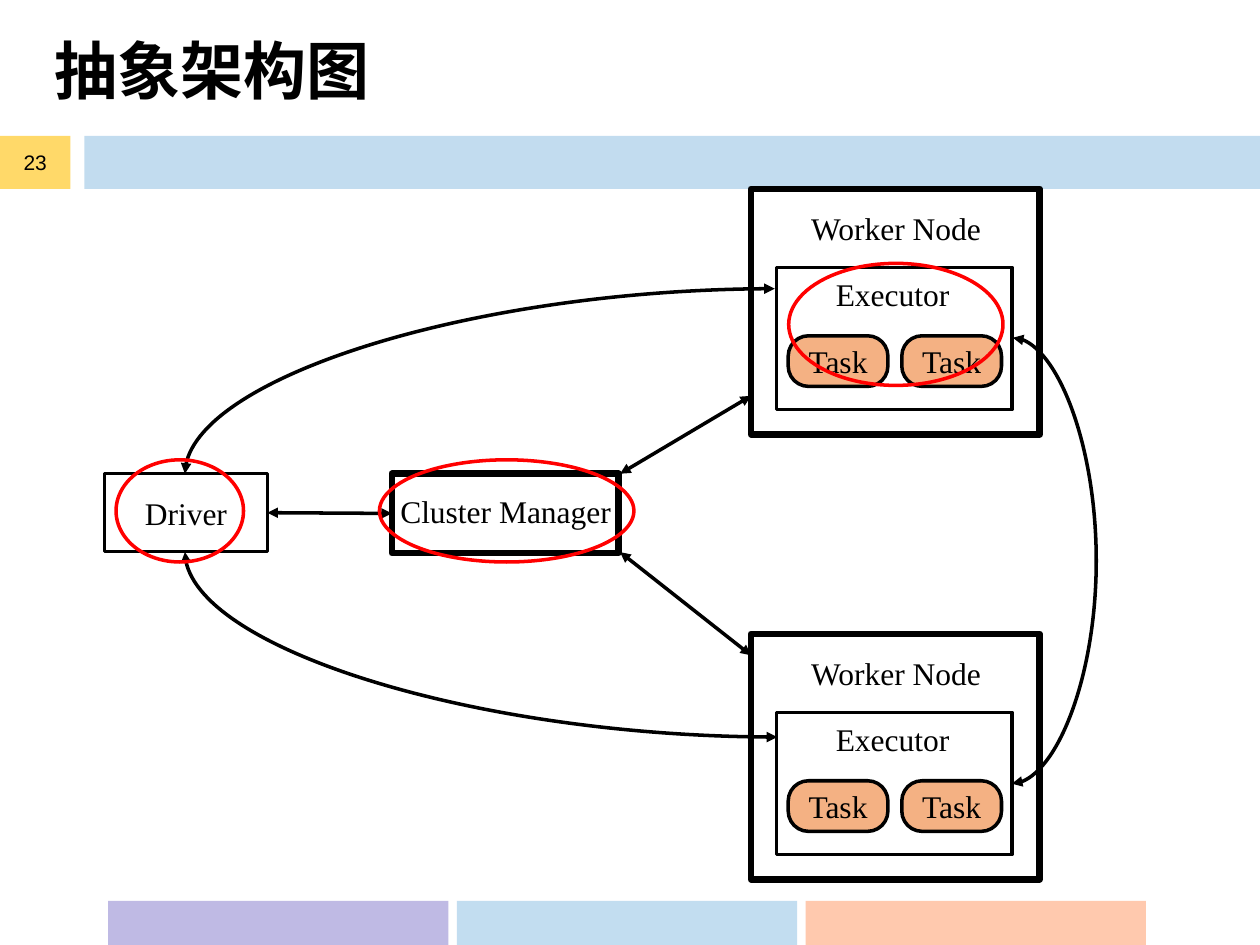
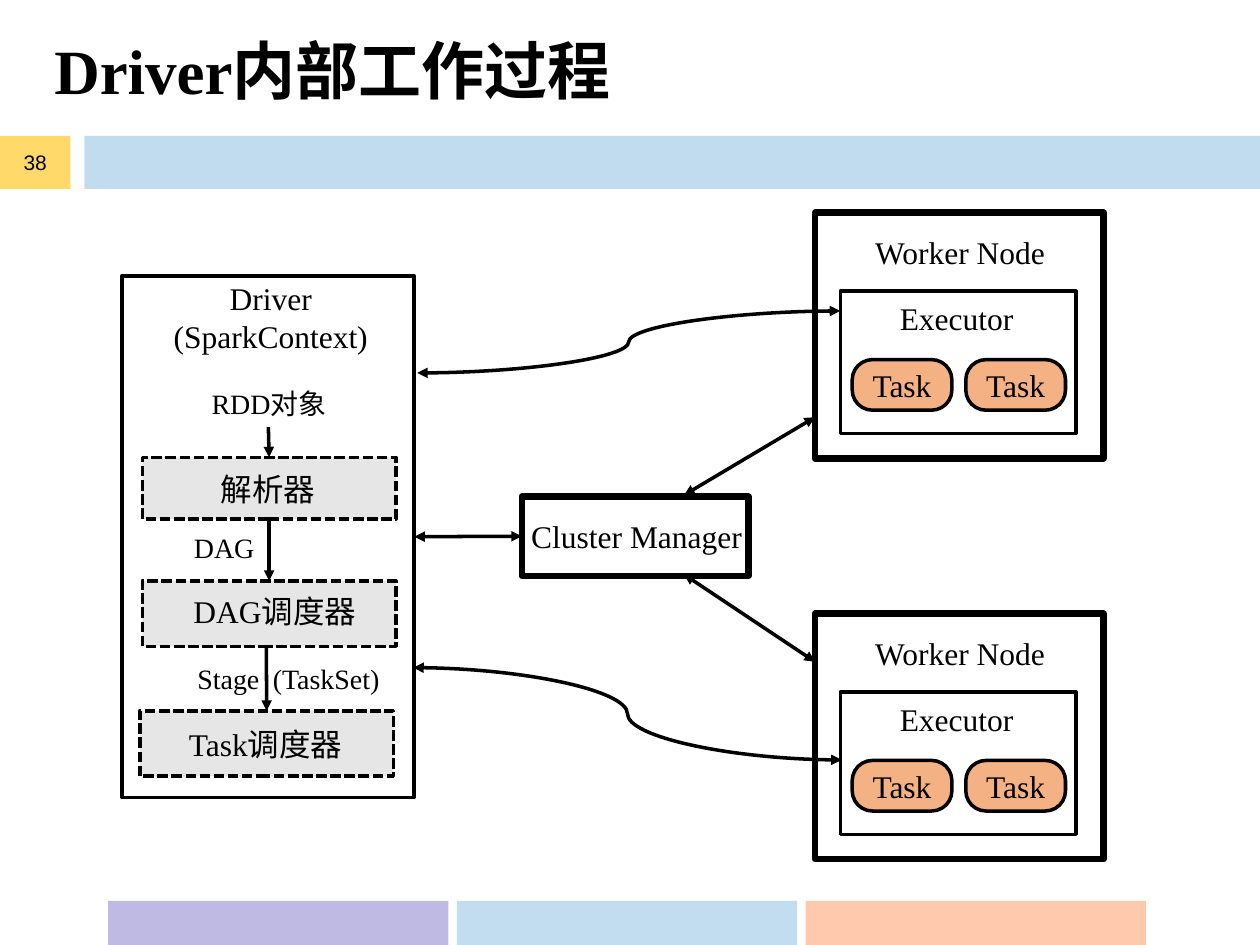
"""Build two slides on a cluster's architecture and the inner work of its driver."""
from dataclasses import dataclass

from lxml import etree
from pptx import Presentation, util as u
from pptx.dml import color
from pptx.enum import dml, shapes, text
from pptx.oxml import ns


@dataclass(frozen=True)
class Theme:
    ink: str = "000000"
    paper: str = "FFFFFF"
    task: str = "F4B183"
    stage: str = "E7E6E6"
    ring: str = "FF0000"
    band: tuple = ("0070C0", 24)
    page: tuple = ("FFC000", 59)
    foot: tuple = (("BFBAE4", 100), ("C2DDF0", 100), ("FF9966", 53))
    serif: str = "Times New Roman"
    sans: str = "Arial"
    asian: str = "Noto Sans CJK SC"
    head: int = 36
    main: int = 18
    note: int = 16
    small: int = 12
    thin: float = 2
    thick: float = 3.75


T = Theme()
KIND = shapes.MSO_SHAPE
LEFT, MID = text.PP_ALIGN.LEFT, text.PP_ALIGN.CENTER
TOP, SIDE, BASE, END = 0, 1, 2, 3

LOOKS = {
    "solid": dict(fill=T.paper),
    "heavy": dict(fill=T.paper, pen=T.thick),
    "open": dict(),
    "stage": dict(fill=T.stage, dash=True),
    "task": dict(kind=KIND.ROUNDED_RECTANGLE, fill=T.task),
    "ring": dict(kind=KIND.OVAL, ink=T.ring),
}

PAGES = [
    dict(
        title="抽象架构图", page="23",
        nodes=[(15.14, 3.81), (15.14, 12.78)],
        boxes={
            "driver": ("solid", (2.11, 9.55, 3.28, 1.57), "Driver"),
            "cluster": ("heavy", (7.9, 9.55, 4.57, 1.6), ""),
        },
        notes=[("Cluster Manager", (7.82, 9.8, 4.95, 1.02), T.main, LEFT)],
        links=[
            ("both", ("driver", END), ("cluster", SIDE)),
            ("both", (12.5, 9.55), (15.14, 7.98)),
            ("both", (12.5, 11.13), (15.14, 13.21)),
            ("arc", (15.62, 5.82), (3.73, 9.55)),
            ("arc", (15.67, 14.86), (3.73, 11.13)),
            ("bow", (20.4, 15.8), (20.42, 6.81), 22.1),
        ],
        rings=[(2.34, 9.27, 2.57, 2.06), (7.65, 9.27, 5.13, 2.06),
               (15.9, 5.31, 4.32, 2.46)],
    ),
    dict(
        title="Driver内部工作过程", page="38",
        nodes=[(16.43, 4.29), (16.43, 12.37)],
        boxes={
            "cluster": ("heavy", (10.52, 10.01, 4.57, 1.6), ""),
            "driver": ("open", (2.46, 5.56, 5.89, 10.52), ""),
            "parser": ("stage", (2.87, 9.22, 5.11, 1.24), ""),
            "graph": ("stage", (2.87, 11.71, 5.11, 1.32), ""),
            "tasks": ("stage", (2.82, 14.33, 5.11, 1.32), ""),
        },
        notes=[
            ("Cluster Manager", (10.46, 10.29, 4.95, 1.02), T.main, LEFT),
            ("Driver (SparkContext)", (2.74, 5.51, 5.44, 1.8), T.main, MID),
            ("RDD对象", (3.38, 7.67, 4.09, 0.94), T.note, MID),
            ("解析器", (3.35, 9.35, 4.11, 1.02), T.main, MID),
            ("DAG", (3.66, 10.57, 2.97, 0.94), T.note, LEFT),
            ("DAG调度器", (3.1, 11.81, 4.88, 1.02), T.main, MID),
            ("Stage", (3.73, 13.21, 2, 0.94), T.note, LEFT),
            ("(TaskSet)", (5.25, 13.21, 3, 0.94), T.note, LEFT),
            ("Task调度器", (3.56, 14.5, 4.88, 1.02), T.main, LEFT),
        ],
        links=[
            ("both", ("driver", END), ("cluster", SIDE)),
            ("both", (13.79, 9.98), (16.43, 8.41)),
            ("both", (13.79, 11.58), (16.43, 13.34)),
            ("bow", (8.41, 7.52), (16.94, 6.27)),
            ("bow", (8.33, 13.46), (16.97, 15.32)),
            ("flow", (5.41, 8.61), ("parser", TOP)),
            ("flow", ("parser", BASE), ("graph", TOP)),
            ("flow", (5.37, 13.03), ("tasks", TOP)),
        ],
        rings=[],
    ),
]


def cm(nums):
    return [u.Cm(n) for n in nums]


def rgb(code):
    return color.RGBColor.from_string(code)


def sub(node, tag, **attrs):
    return etree.SubElement(node, ns.qn(tag), attrs)


def write(frame, words, size=T.main, align=MID, font=T.serif, bold=False):
    frame.word_wrap = True
    para = frame.paragraphs[0]
    para.alignment = align
    run = para.add_run()
    run.text = words
    run.font.size, run.font.bold = u.Pt(size), bold
    run.font.color.rgb = rgb(T.ink)
    run.font.name = font
    sub(run.font._element, "a:ea", typeface=T.asian)


def note(slide, words, area, size=T.main, align=MID, anchor=text.MSO_ANCHOR.TOP):
    frame = slide.shapes.add_textbox(*cm(area)).text_frame
    write(frame, words, size, align)
    frame.vertical_anchor = anchor


def box(slide, area, kind=KIND.RECTANGLE, fill=None, ink=T.ink, pen=T.thin, dash=False):
    shape = slide.shapes.add_shape(kind, *cm(area))
    shape.shadow.inherit = False
    if kind == KIND.ROUNDED_RECTANGLE:
        shape.adjustments[0] = 0.4
    if fill:
        shape.fill.solid()
        shape.fill.fore_color.rgb = rgb(fill)
    else:
        shape.fill.background()
    shape.line.color.rgb = rgb(ink)
    shape.line.width = u.Pt(pen)
    if dash:
        shape.line.dash_style = dml.MSO_LINE.SQUARE_DOT
    return shape


def band(slide, area, tint):
    code, part = tint
    shape = box(slide, area, fill=code)
    shape.line.fill.background()
    if part < 100:
        tone = next(shape._element.spPr.iter(ns.qn("a:srgbClr")))
        sub(tone, "a:alpha", val=str(part * 1000))
    return shape


def share(layout, slide):
    """Set the title's place and move the bands to the layout."""
    title = layout.placeholders[0]
    title.left, title.top, title.width, title.height = cm((0.84, -0.2, 23.85, 3.18))
    strips = [band(slide, (1.7, 2.74, 23.7, 1.07), T.band)]
    for i, tint in enumerate(T.foot):
        strips.append(band(slide, (2.18 + 7.03 * i, 18.16, 6.86, 0.91), tint))
    for strip in strips:
        layout.shapes._spTree.append(strip._element)


def worker(slide, x, y):
    box(slide, (x, y, 5.82, 4.95), **LOOKS["heavy"])
    box(slide, (x + 0.51, y + 1.58, 4.75, 2.87), **LOOKS["open"])
    note(slide, "Worker Node", (x + 0.55, y + 0.12, 4.75, 1.35),
         anchor=text.MSO_ANCHOR.MIDDLE)
    note(slide, "Executor", (x + 1.46, y + 1.61, 2.97, 1.02), align=LEFT)
    for i in range(2):
        area = (x + 0.75 + 2.29 * i, y + 2.96, 2.01, 1.02)
        write(box(slide, area, **LOOKS["task"]).text_frame, "Task")


def link(slide, made, kind, start, stop, via=None):
    form = shapes.MSO_CONNECTOR
    form = form.CURVE if kind in ("arc", "bow") else form.STRAIGHT
    ends = [(0, 0) if isinstance(p[0], str) else p for p in (start, stop)]
    line = slide.shapes.add_connector(form, *cm(ends[0] + ends[1]))
    for spot, join in ((start, line.begin_connect), (stop, line.end_connect)):
        if isinstance(spot[0], str):
            join(made[spot[0]], spot[1])
    line.line.color.rgb = rgb(T.ink)
    line.line.width = u.Pt(T.thin)
    props = line._element.spPr
    shape = props.find(ns.qn("a:prstGeom"))
    if kind == "arc":
        shape.set("prst", "curvedConnector2")
    if via:
        bulge = round((via - start[0]) / (stop[0] - start[0]) * 100000)
        sub(shape.find(ns.qn("a:avLst")), "a:gd", name="adj1", fmla=f"val {bulge}")
    stroke = props.find(ns.qn("a:ln"))
    if kind != "flow":
        sub(stroke, "a:headEnd", type="triangle")
    sub(stroke, "a:tailEnd", type="triangle")
    sub(props, "a:effectLst")


def draw(slide, data):
    title = slide.shapes.title.text_frame
    title.vertical_anchor = text.MSO_ANCHOR.MIDDLE
    write(title, data["title"], T.head, LEFT, bold=True)
    page = band(slide, (0, 2.74, 1.42, 1.07), T.page)
    write(page.text_frame, data["page"], T.small, font=T.sans)
    for x, y in data["nodes"]:
        worker(slide, x, y)
    made = {}
    for name, (look, area, words) in data["boxes"].items():
        made[name] = box(slide, area, **LOOKS[look])
        if words:
            write(made[name].text_frame, words)
    for item in data["notes"]:
        note(slide, *item)
    for item in data["links"]:
        link(slide, made, *item)
    for area in data["rings"]:
        box(slide, area, **LOOKS["ring"])


def main():
    deck = Presentation()
    deck.slide_width, deck.slide_height = cm((25.4, 19.05))
    layout = deck.slide_layouts[5]
    for i, data in enumerate(PAGES):
        slide = deck.slides.add_slide(layout)
        if i == 0:
            share(layout, slide)
        draw(slide, data)
    deck.save("out.pptx")


if __name__ == "__main__":
    main()
